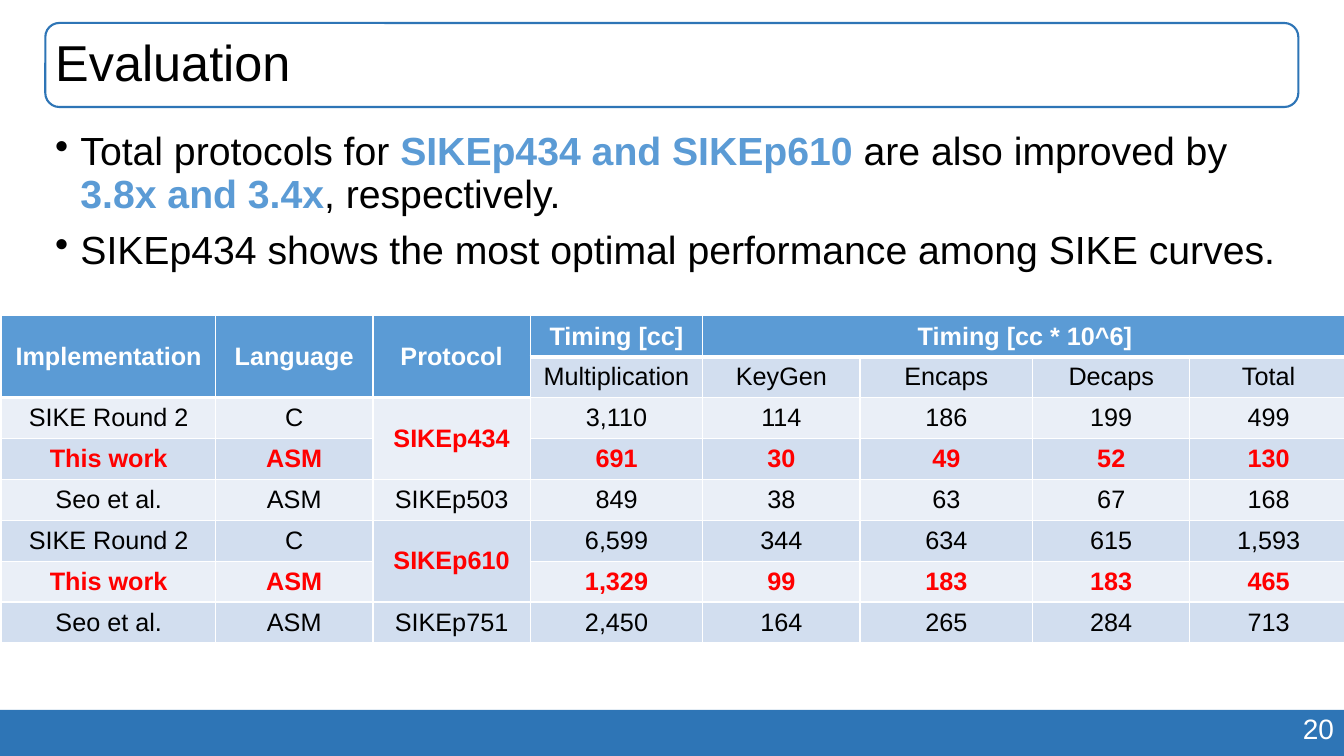
from lxml import etree
from pptx import Presentation
from pptx.dml.color import RGBColor
from pptx.enum import shapes, text
from pptx.oxml import ns
from pptx.util import Pt

BLACK = RGBColor(0, 0, 0)
WHITE = RGBColor(0xFF, 0xFF, 0xFF)
RED = RGBColor(0xFF, 0, 0)
SKY = RGBColor(0x5B, 0x9B, 0xD5)
NAVY = RGBColor(0x2E, 0x75, 0xB6)
DARK_BAND = RGBColor(0xD2, 0xDE, 0xEF)
LIGHT_BAND = RGBColor(0xEA, 0xEF, 0xF7)

SLIDE_WIDTH, SLIDE_HEIGHT = 960, 540

# Each bullet is a list of (wording, emphasised) parts.
FINDINGS = [
    [("Total protocols for ", False), ("SIKEp434 and SIKEp610 ", True),
     ("are also improved by ", False), ("3.8x and 3.4x", True),
     (", respectively.", False)],
    [("SIKEp434 shows the most optimal performance among SIKE curves.", False)],
]

# None marks a place covered by a merged cell.
TIMINGS = [
    ["Implementation", "Language", "Protocol", "Timing [cc]",
     "Timing [cc * 10^6]", None, None, None],
    [None, None, None, "Multiplication", "KeyGen", "Encaps", "Decaps", "Total"],
    ["SIKE Round 2", "C", "SIKEp434", "3,110", "114", "186", "199", "499"],
    ["This work", "ASM", None, "691", "30", "49", "52", "130"],
    ["Seo et al.", "ASM", "SIKEp503", "849", "38", "63", "67", "168"],
    ["SIKE Round 2", "C", "SIKEp610", "6,599", "344", "634", "615", "1,593"],
    ["This work", "ASM", None, "1,329", "99", "183", "183", "465"],
    ["Seo et al.", "ASM", "SIKEp751", "2,450", "164", "265", "284", "713"],
]
COLUMN_WIDTHS = [152.7, 112.4, 112.4, 123.2, 112.4, 123.2, 112.4, 112.4]
# First row, first column, last row, last column
MERGES = [(0, 0, 1, 0), (0, 1, 1, 1), (0, 2, 1, 2), (0, 4, 0, 7),
          (2, 2, 3, 2), (5, 2, 6, 2)]
IMPROVED = {"SIKEp434", "SIKEp610"}


def add_run(paragraph, wording, size, color, bold=False):
    run = paragraph.add_run()
    run.text = wording
    run.font.name = "Arial"
    run.font.size = Pt(size)
    run.font.bold = bold
    run.font.color.rgb = color


def add_frame(slide, box):
    """Add a wrapping text box and return its text frame."""
    frame = slide.shapes.add_textbox(*map(Pt, box)).text_frame
    frame.word_wrap = True
    return frame


def add_title(slide, box):
    outline = slide.shapes.add_shape(
        shapes.MSO_SHAPE.ROUNDED_RECTANGLE, *map(Pt, box))
    outline.shadow.inherit = False
    outline.fill.background()
    outline.line.color.rgb = NAVY
    outline.line.width = Pt(1.5)
    frame = add_frame(slide, box)
    frame.vertical_anchor = text.MSO_ANCHOR.MIDDLE
    heading = frame.paragraphs[0]
    heading.line_spacing = 0.9
    add_run(heading, "Evaluation", 36, BLACK)


def add_findings(slide, box):
    frame = add_frame(slide, box)
    for index, parts in enumerate(FINDINGS):
        finding = frame.add_paragraph() if index else frame.paragraphs[0]
        properties = finding._p.get_or_add_pPr()
        properties.set("marL", str(Pt(18)))
        properties.set("indent", str(-Pt(18)))
        bullet = etree.SubElement(properties, ns.qn("a:buChar"))
        bullet.set("char", "•")
        finding.line_spacing = 0.9
        if index:
            finding.space_before = Pt(10)
        for wording, emphasised in parts:
            add_run(finding, wording, 28, SKY if emphasised else BLACK, emphasised)


def add_borders(cell, bottom_width):
    properties = cell._tc.get_or_add_tcPr()
    for side, width in (("L", 1), ("R", 1), ("T", 1), ("B", bottom_width)):
        edge = etree.SubElement(properties, ns.qn(f"a:ln{side}"), w=str(Pt(width)))
        fill = etree.SubElement(edge, ns.qn("a:solidFill"))
        etree.SubElement(fill, ns.qn("a:srgbClr"), val=str(WHITE))


def add_timings(slide, box):
    left, top, width, height = box
    table = slide.shapes.add_table(
        len(TIMINGS), len(COLUMN_WIDTHS), *map(Pt, box)).table
    for column, column_width in zip(table.columns, COLUMN_WIDTHS):
        column.width = Pt(column_width)
    for row in table.rows:
        row.height = Pt(height / len(TIMINGS))

    for r, entries in enumerate(TIMINGS):
        for c, entry in enumerate(entries):
            cell = table.cell(r, c)
            is_header = r == 0 or (r == 1 and c < 3)
            add_borders(cell, 3 if is_header else 1)
            cell.fill.solid()
            band = DARK_BAND if r % 2 else LIGHT_BAND
            cell.fill.fore_color.rgb = SKY if is_header else band
            cell.vertical_anchor = text.MSO_ANCHOR.MIDDLE
            if entry is None:
                continue
            is_improved = entry in IMPROVED or (
                entries[0] == "This work")
            color = WHITE if is_header else RED if is_improved else BLACK
            label = cell.text_frame.paragraphs[0]
            label.alignment = text.PP_ALIGN.CENTER
            add_run(label, entry, 18, color, is_header or is_improved)

    for first_row, first_column, last_row, last_column in MERGES:
        table.cell(first_row, first_column).merge(table.cell(last_row, last_column))


def add_footer(slide, box):
    left, top, width, height = box
    bar = slide.shapes.add_shape(shapes.MSO_SHAPE.RECTANGLE, *map(Pt, box))
    bar.shadow.inherit = False
    bar.fill.solid()
    bar.fill.fore_color.rgb = NAVY
    bar.line.fill.background()
    number_width = 280.8
    frame = add_frame(slide, (left + width - number_width, top - 2.2,
                              number_width, 31.5))
    number = frame.paragraphs[0]
    number.alignment = text.PP_ALIGN.RIGHT
    add_run(number, "20", 20, WHITE)


def main():
    deck = Presentation()
    deck.slide_width, deck.slide_height = Pt(SLIDE_WIDTH), Pt(SLIDE_HEIGHT)
    slide = deck.slides.add_slide(deck.slide_layouts[6])
    add_footer(slide, (0, 507, SLIDE_WIDTH, 33))
    add_title(slide, (32.4, 16.4, 895, 60))
    add_findings(slide, (32.4, 90.7, 895, 398))
    add_timings(slide, (1.3, 225.6, sum(COLUMN_WIDTHS), 233.6))
    deck.save("out.pptx")


if __name__ == "__main__":
    main()
